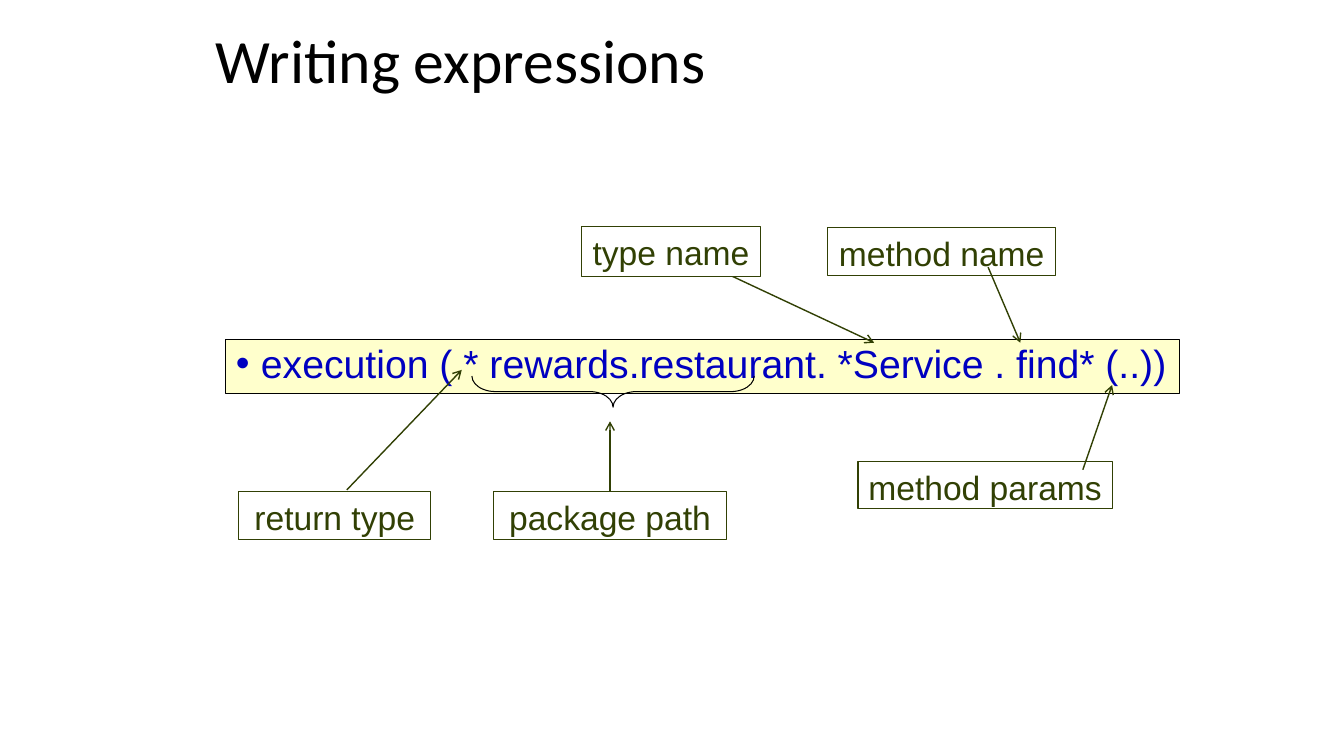
import pptx
import pptx.dml.color
import pptx.enum.shapes
import pptx.enum.text
import pptx.oxml.ns
import pptx.util
from lxml import etree

Inches, Pt = pptx.util.Inches, pptx.util.Pt
Color = pptx.dml.color.RGBColor
Shape = pptx.enum.shapes.MSO_SHAPE
Align = pptx.enum.text.PP_ALIGN
Anchor = pptx.enum.text.MSO_ANCHOR
qn = pptx.oxml.ns.qn

BLACK = Color(0x00, 0x00, 0x00)
WHITE = Color(0xFF, 0xFF, 0xFF)
CREAM = Color(0xFF, 0xFF, 0xCC)
BLUE = Color(0x00, 0x00, 0xC0)
OLIVE = Color(0x31, 0x40, 0x04)


def write(shape, text, font, size, color, align, anchor=Anchor.TOP):
    """Fill the shape with one formatted run and return its paragraph."""
    frame = shape.text_frame
    frame.word_wrap = True
    frame.vertical_anchor = anchor
    para = frame.paragraphs[0]
    para.alignment = align
    span = para.add_run()
    span.text = text
    span.font.name, span.font.size = font, Pt(size)
    span.font.color.rgb = color
    return para


def add_box(page, box, fill, line, width):
    """Add an outlined rectangle at the given left, top, width and height."""
    shape = page.shapes.add_shape(Shape.RECTANGLE, *map(Inches, box))
    shape.shadow.inherit = False
    shape.fill.solid()
    shape.fill.fore_color.rgb = fill
    shape.line.color.rgb = line
    shape.line.width = Pt(width)
    return shape


def add_title(page, box, text):
    """Place and format the title placeholder."""
    title = page.shapes.title
    title.left, title.top, title.width, title.height = map(Inches, box)
    para = write(title, text, "Calibri", 44, BLACK, Align.LEFT, Anchor.MIDDLE)
    para.line_spacing = 0.9


def add_expression(page, box, text):
    """Add the highlighted, bulleted pointcut expression."""
    shape = add_box(page, box, CREAM, BLACK, 0.5)
    para = write(shape, text, "Arial", 28, BLUE, Align.LEFT)
    para.line_spacing = 0.9
    properties = para._p.get_or_add_pPr()
    properties.set("marL", str(Inches(0.25)))
    properties.set("indent", str(Inches(-0.25)))
    etree.SubElement(properties, qn("a:buFont")).set("typeface", "Arial")
    etree.SubElement(properties, qn("a:buChar")).set("char", "•")


def add_package_brace(page, box):
    """Add a brace that opens upward and fills the given box."""
    left, top, width, height = box
    brace = page.shapes.add_shape(
        Shape.RIGHT_BRACE,
        Inches(left + (width - height) / 2), Inches(top + (height - width) / 2),
        Inches(height), Inches(width))
    brace.rotation = 90
    brace.adjustments[0] = 0.75
    brace.shadow.inherit = False
    brace.fill.background()
    brace.line.color.rgb = BLACK
    brace.line.width = Pt(0)


def add_arrow(page, start, end):
    """Draw an open-headed arrow from start to end."""
    arrow = page.shapes.add_connector(
        pptx.enum.shapes.MSO_CONNECTOR.STRAIGHT, *map(Inches, start + end))
    arrow.line.color.rgb = OLIVE
    arrow.line.width = Pt(1)
    etree.SubElement(arrow.line._get_or_add_ln(), qn("a:tailEnd")).set("type", "arrow")
    etree.SubElement(arrow._element.spPr, qn("a:effectLst"))


def add_label(page, box, text, start, end, arrow_on_top):
    """Add a boxed label and its arrow, with the arrow above or below the box."""
    if not arrow_on_top:
        add_arrow(page, start, end)
    shape = add_box(page, box, WHITE, OLIVE, 0.75)
    write(shape, text, "Arial", 24, OLIVE, Align.CENTER)
    if arrow_on_top:
        add_arrow(page, start, end)


LABELS = [
    ((2.37, 4.88, 1.9, 0.47), "return type", (3.44, 4.86), (4.58, 3.67), False),
    ((4.89, 4.88, 2.32, 0.47), "package path", (6.05, 4.89), (6.05, 4.18), False),
    ((5.77, 2.25, 1.77, 0.49), "type name", (7.09, 2.66), (8.67, 3.4), False),
    ((8.21, 2.26, 2.26, 0.47), "method name", (9.8, 2.65), (10.12, 3.4), True),
    ((8.51, 4.58, 2.52, 0.47), "method params", (10.74, 4.66), (11.03, 3.82), True),
]

deck = pptx.Presentation()
deck.slide_width, deck.slide_height = Inches(13.33), Inches(7.5)
page = deck.slides.add_slide(deck.slide_layouts.get_by_name("Title Only"))
add_title(page, (2.04, 0.25, 6.88, 0.77), "Writing expressions")
add_expression(page, (2.24, 3.37, 9.46, 0.53),
               "execution ( * rewards.restaurant. *Service . find* (..))")
add_package_brace(page, (4.68, 3.73, 2.8, 0.31))
for label in LABELS:
    add_label(page, *label)
deck.save("out.pptx")
